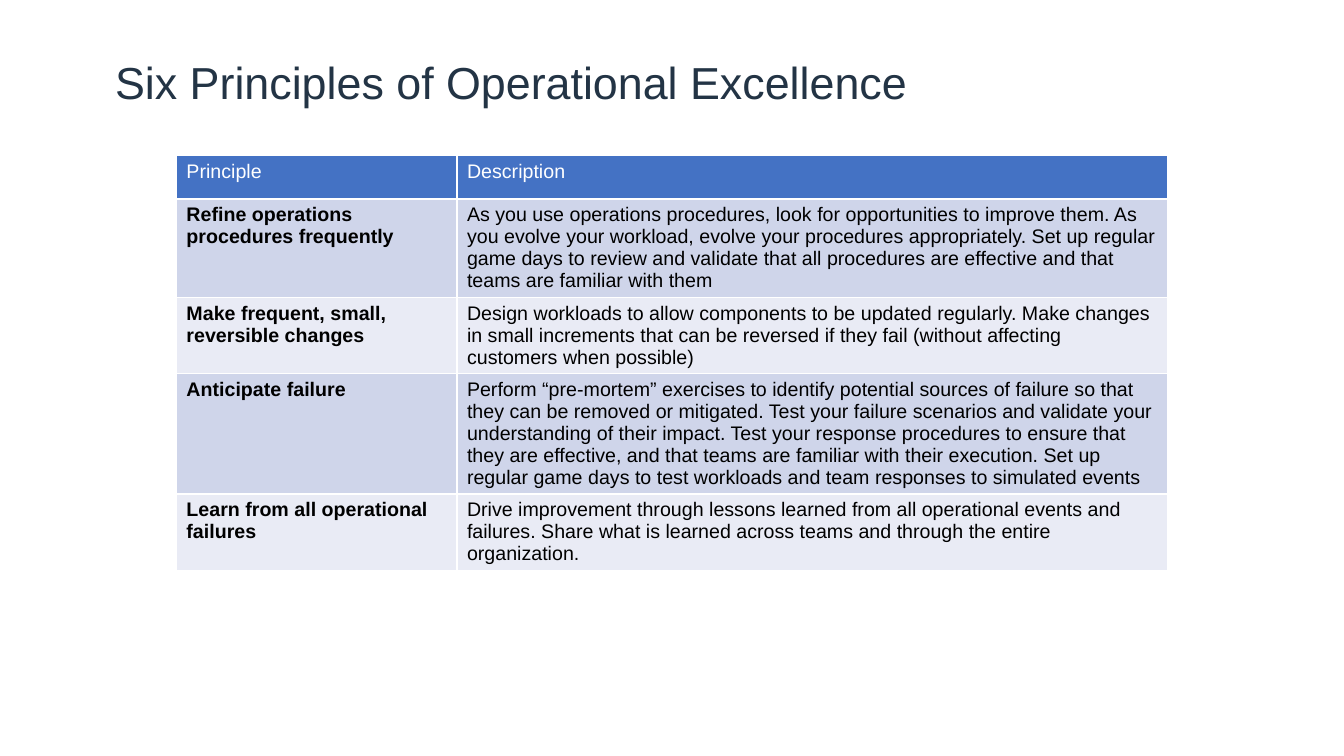
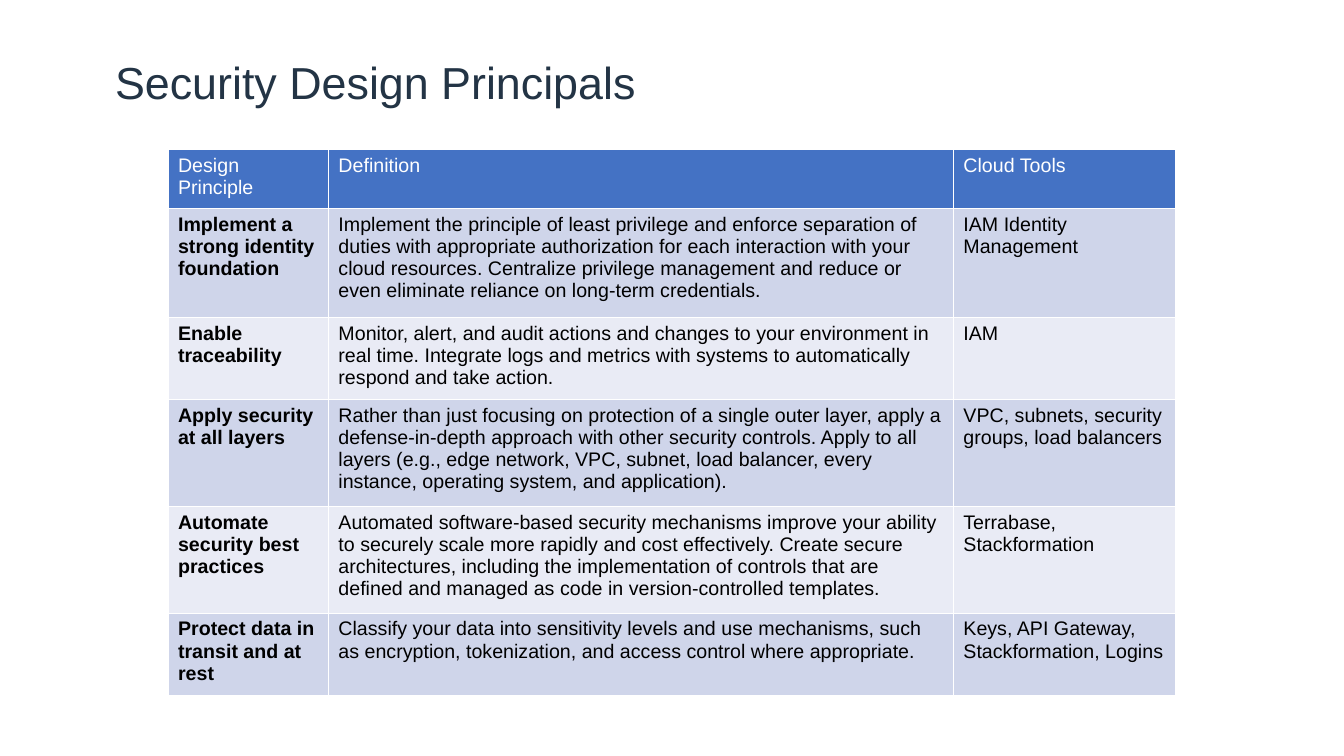
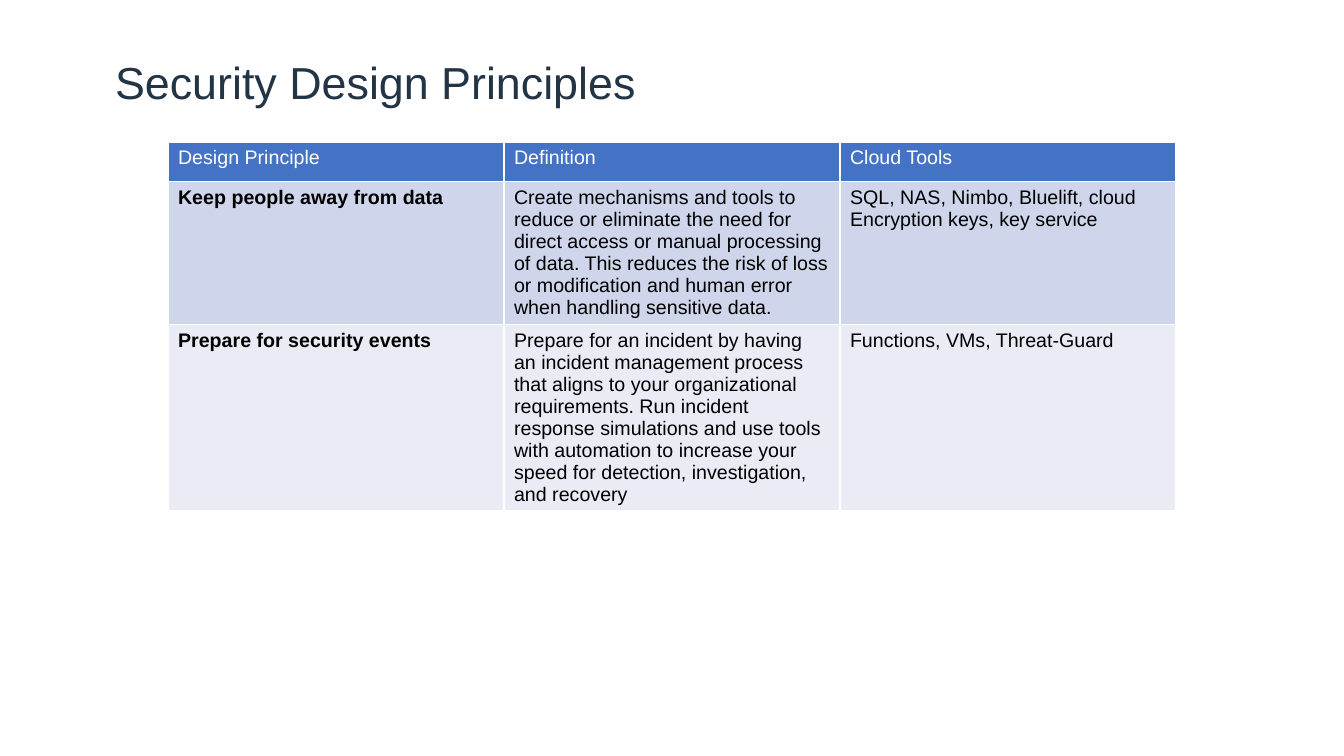
from dataclasses import dataclass

from pptx import Presentation
from pptx.dml.color import RGBColor
from pptx.enum.text import MSO_ANCHOR, PP_ALIGN
from pptx.util import Inches, Pt


@dataclass(frozen=True)
class Theme:
    font: str = "Arial"
    title_size: int = 32
    table_size: int = 14
    title_color: str = "233445"
    header_text: str = "FFFFFF"
    body_text: str = "000000"
    header_fill: str = "4472C4"
    row_fills: tuple = ("CFD5EA", "E9EBF5")


def apply_format(target, values):
    for name, value in values.items():
        setattr(target, name, value)


class Deck:
    COLUMNS = 160
    ROWS = 90
    TITLE_ONLY = 5
    TITLE_BOX = {"left": 12.5, "top": 4.2, "width": 147.4, "height": 11.9}

    def __init__(self, theme):
        self.theme = theme
        self.presentation = Presentation()
        apply_format(self.presentation, {"slide_width": Inches(13.33), "slide_height": Inches(7.5)})
        self.slide = None

    def across(self, columns):
        return round(self.presentation.slide_width * columns / self.COLUMNS)

    def down(self, rows):
        return round(self.presentation.slide_height * rows / self.ROWS)

    def style_text(self, paragraph, size, color, bold=False):
        apply_format(paragraph.font, {"name": self.theme.font, "size": Pt(size), "bold": bold})
        paragraph.font.color.rgb = RGBColor.from_string(color)

    def add_slide(self, title):
        layout = self.presentation.slide_layouts[self.TITLE_ONLY]
        self.slide = self.presentation.slides.add_slide(layout)
        shape = self.slide.shapes.title
        box = self.TITLE_BOX
        apply_format(shape, {
            "left": self.across(box["left"]),
            "top": self.down(box["top"]),
            "width": self.across(box["width"]),
            "height": self.down(box["height"]),
        })
        shape.text_frame.text = title
        shape.text_frame.vertical_anchor = MSO_ANCHOR.MIDDLE
        paragraph = shape.text_frame.paragraphs[0]
        apply_format(paragraph, {"alignment": PP_ALIGN.LEFT, "line_spacing": 0.9})
        self.style_text(paragraph, self.theme.title_size, self.theme.title_color)

    def add_table(self, left, top, widths, heights, rows):
        table = self.slide.shapes.add_table(
            len(rows), len(widths),
            self.across(left), self.down(top),
            self.across(sum(widths)), self.down(sum(heights)),
        ).table
        for column, width in zip(table.columns, widths):
            column.width = self.across(width)
        for row, height in zip(table.rows, heights):
            row.height = self.down(height)
        for row_index, texts in enumerate(rows):
            for column_index, text in enumerate(texts):
                self.fill_cell(table.cell(row_index, column_index), text, row_index, column_index)

    def fill_cell(self, cell, text, row_index, column_index):
        theme = self.theme
        is_header = row_index == 0
        fill = theme.header_fill if is_header else theme.row_fills[(row_index - 1) % 2]
        color = theme.header_text if is_header else theme.body_text
        cell.fill.solid()
        cell.fill.fore_color.rgb = RGBColor.from_string(fill)
        cell.text = text
        is_label = column_index == 0 and not is_header
        self.style_text(cell.text_frame.paragraphs[0], theme.table_size, color, is_label)


SECURITY_HEADER = ("Design Principle", "Definition", "Cloud Tools")

SLIDES = [
    {
        "title": "Six Principles of Operational Excellence",
        "left": 21,
        "top": 18.5,
        "widths": (33.4, 84.6),
        "heights": (5.2, 11.7, 9.1, 14.3, 9.1),
        "rows": [
            ("Principle", "Description"),
            (
                "Refine operations procedures frequently",
                "As you use operations procedures, look for opportunities to improve them. "
                "As you evolve your workload, evolve your procedures appropriately. "
                "Set up regular game days to review and validate that all procedures are "
                "effective and that teams are familiar with them",
            ),
            (
                "Make frequent, small, reversible changes",
                "Design workloads to allow components to be updated regularly. "
                "Make changes in small increments that can be reversed if they fail "
                "(without affecting customers when possible)",
            ),
            (
                "Anticipate failure",
                "Perform “pre-mortem” exercises to identify potential sources of failure so "
                "that they can be removed or mitigated. Test your failure scenarios and "
                "validate your understanding of their impact. Test your response procedures "
                "to ensure that they are effective, and that teams are familiar with their "
                "execution. Set up regular game days to test workloads and team responses "
                "to simulated events",
            ),
            (
                "Learn from all operational failures",
                "Drive improvement through lessons learned from all operational events and "
                "failures. Share what is learned across teams and through the entire "
                "organization.",
            ),
        ],
    },
    {
        "title": "Security Design Principals",
        "left": 20,
        "top": 17.8,
        "widths": (19.1, 74.4, 26.5),
        "heights": (7, 13, 9.8, 12.7, 12.7, 9.8),
        "rows": [
            SECURITY_HEADER,
            (
                "Implement a strong identity foundation",
                "Implement the principle of least privilege and enforce separation of duties "
                "with appropriate authorization for each interaction with your cloud "
                "resources. Centralize privilege management and reduce or even eliminate "
                "reliance on long-term credentials.",
                "IAM Identity Management",
            ),
            (
                "Enable traceability",
                "Monitor, alert, and audit actions and changes to your environment in real "
                "time. Integrate logs and metrics with systems to automatically respond and "
                "take action.",
                "IAM",
            ),
            (
                "Apply security at all layers",
                "Rather than just focusing on protection of a single outer layer, apply a "
                "defense-in-depth approach with other security controls. Apply to all layers "
                "(e.g., edge network, VPC, subnet, load balancer, every instance, operating "
                "system, and application).",
                "VPC, subnets, security groups, load balancers",
            ),
            (
                "Automate security best practices",
                "Automated software-based security mechanisms improve your ability to "
                "securely scale more rapidly and cost effectively. Create secure "
                "architectures, including the implementation of controls that are defined "
                "and managed as code in version-controlled templates.",
                "Terrabase, Stackformation",
            ),
            (
                "Protect data in transit and at rest",
                "Classify your data into sensitivity levels and use mechanisms, such as "
                "encryption, tokenization, and access control where appropriate.",
                "Keys, API Gateway, Stackformation, Logins",
            ),
        ],
    },
    {
        "title": "Security Design Principles",
        "left": 20,
        "top": 16.9,
        "widths": (40, 40, 40),
        "heights": (4.7, 17, 22.2),
        "rows": [
            SECURITY_HEADER,
            (
                "Keep people away from data",
                "Create mechanisms and tools to reduce or eliminate the need for direct "
                "access or manual processing of data. This reduces the risk of loss or "
                "modification and human error when handling sensitive data.",
                "SQL, NAS, Nimbo, Bluelift, cloud Encryption keys, key service",
            ),
            (
                "Prepare for security events",
                "Prepare for an incident by having an incident management process that "
                "aligns to your organizational requirements. Run incident response "
                "simulations and use tools with automation to increase your speed for "
                "detection, investigation, and recovery",
                "Functions, VMs, Threat-Guard",
            ),
        ],
    },
]


def main():
    deck = Deck(Theme())
    for content in SLIDES:
        deck.add_slide(content["title"])
        deck.add_table(
            content["left"], content["top"], content["widths"], content["heights"], content["rows"]
        )
    deck.presentation.save("out.pptx")


if __name__ == "__main__":
    main()
